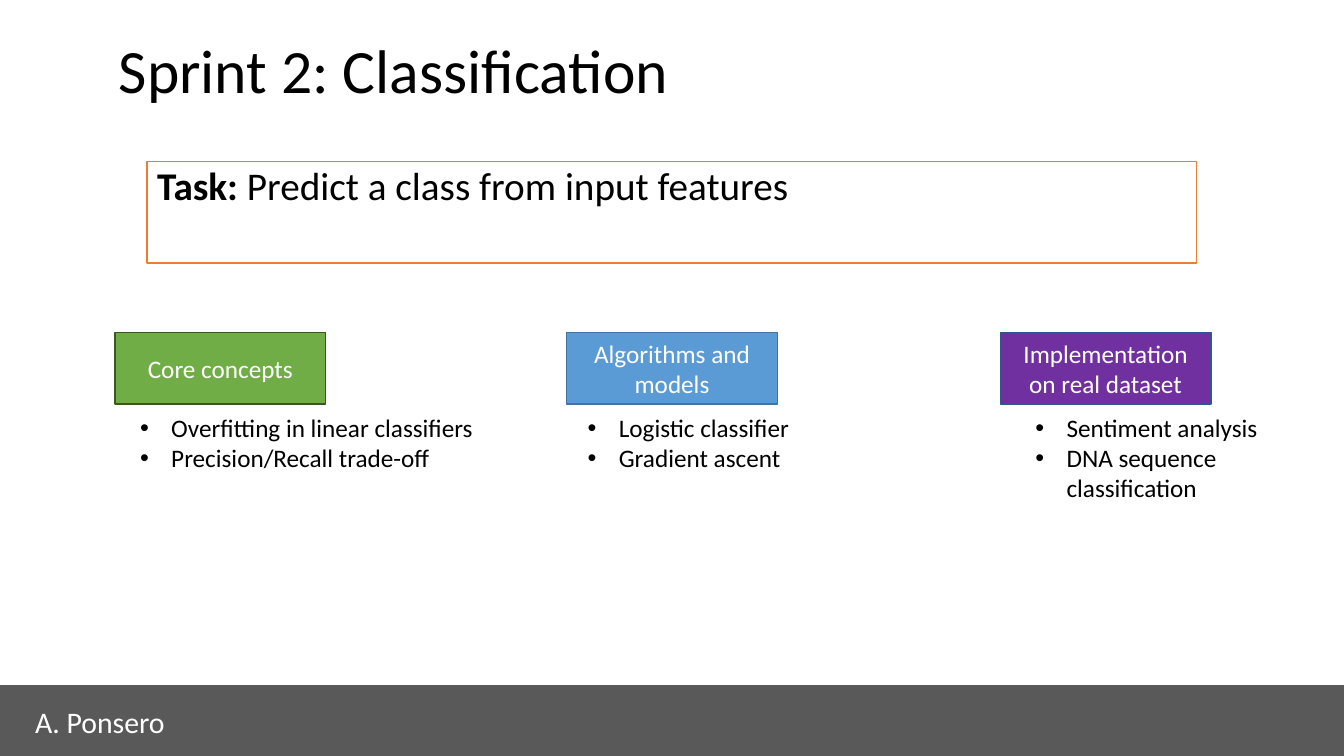
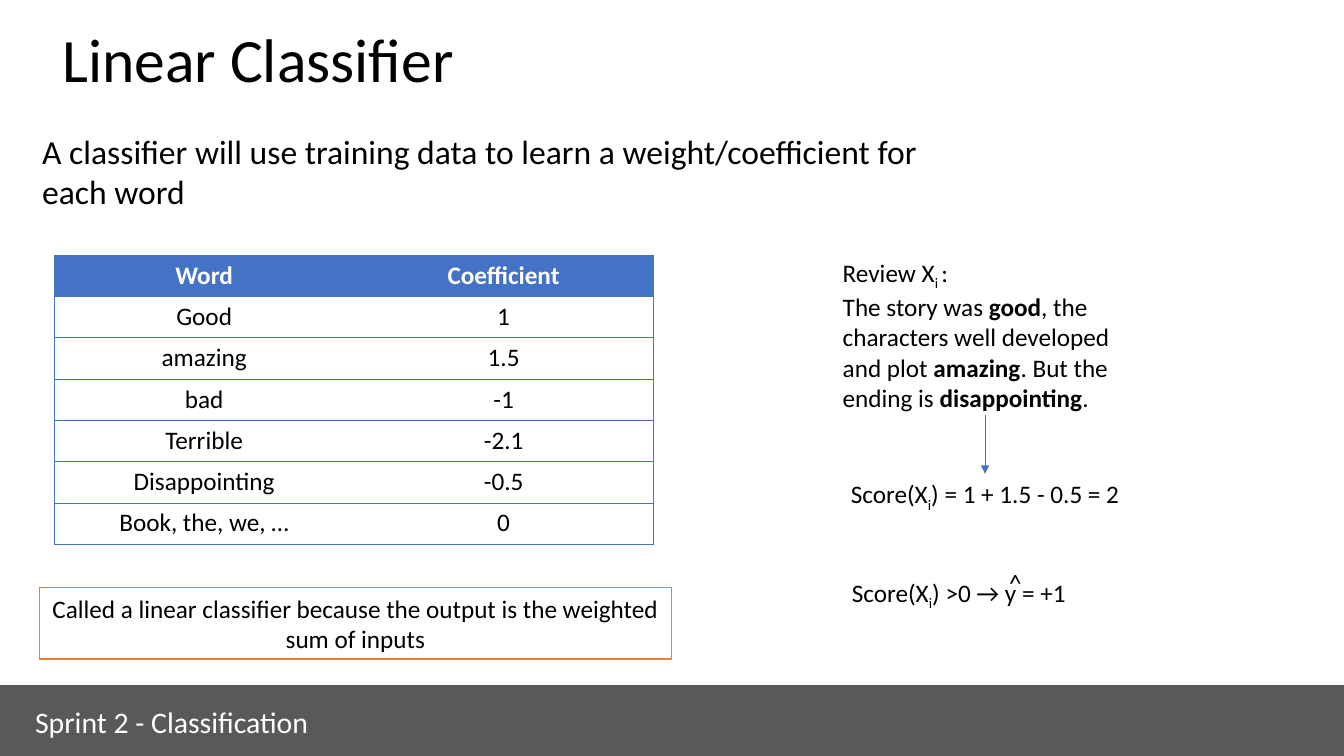
from lxml.etree import SubElement
from pptx import Presentation
from pptx.dml.color import RGBColor
from pptx.enum.shapes import MSO_CONNECTOR, MSO_SHAPE
from pptx.enum.text import MSO_ANCHOR, PP_ALIGN
from pptx.oxml.ns import qn
from pptx.util import Inches, Pt

FONT = "Calibri"
COLORS = {
    "text": "000000", "white": "FFFFFF", "band": "595959",
    "accent": "4472C4", "frame": "ED7D31",
    "green": "70AD47", "green_edge": "385723",
    "blue": "5B9BD5", "blue_edge": "43739E",
    "purple": "7030A0", "purple_edge": "325491",
}


def rgb(name):
    return RGBColor.from_string(COLORS[name])


# Text: a paragraph is a string or a list of (text, style) runs,
# where style is "", "bold" or "sub"
def fill_paragraph(paragraph, content, size=18, color="text", align=PP_ALIGN.LEFT,
                   spacing=None, bold=None, bullet=False):
    runs = [(content, "")] if isinstance(content, str) else content
    for text, style in runs:
        run = paragraph.add_run()
        run.text = text
        if style == "bold":
            run.font.bold = True
        elif style == "sub":
            run.font._element.set("baseline", "-25000")
    paragraph.alignment = align
    if spacing:
        paragraph.line_spacing = spacing
    if bullet:
        properties = paragraph._p.get_or_add_pPr()
        properties.set("marL", str(Inches(0.31)))
        properties.set("indent", str(-Inches(0.31)))
        SubElement(properties, qn("a:buFont"), typeface="Arial")
        SubElement(properties, qn("a:buChar"), char="•")
    paragraph.font.name = FONT
    paragraph.font.size = Pt(size)
    paragraph.font.color.rgb = rgb(color)
    paragraph.font.bold = bold


def write(shape, paragraphs, anchor=MSO_ANCHOR.TOP, **style):
    frame = shape.text_frame
    frame.word_wrap = True
    frame.vertical_anchor = anchor
    for index, content in enumerate(paragraphs):
        paragraph = frame.add_paragraph() if index else frame.paragraphs[0]
        fill_paragraph(paragraph, content, **style)


def add_text(slide, box, *paragraphs, **style):
    text_box = slide.shapes.add_textbox(*map(Inches, box))
    write(text_box, paragraphs, **style)
    return text_box


def add_box(slide, box, fill, edge, *paragraphs, **style):
    rectangle = slide.shapes.add_shape(MSO_SHAPE.RECTANGLE, *map(Inches, box))
    rectangle.shadow.inherit = False
    rectangle.fill.solid()
    rectangle.fill.fore_color.rgb = rgb(fill)
    rectangle.line.color.rgb = rgb(edge)
    rectangle.line.width = Pt(1)
    write(rectangle, paragraphs, **style)


# Shared slide frame: title and footer band
def add_slide(presentation, title, title_box, footer):
    slide = presentation.slides.add_slide(presentation.slide_layouts[6])
    add_text(slide, title_box, title, size=44, spacing=0.9, anchor=MSO_ANCHOR.MIDDLE)
    add_box(slide, (0, 6.8, 13.33, 0.7), "band", "band")
    add_text(slide, (0.25, 6.93, 3.36, 0.46), footer, size=21.3, color="white")
    return slide


# Table with an outer frame and horizontal rules
def set_borders(cell, sides):
    properties = cell._tc.get_or_add_tcPr()
    for side in "LRTB":
        border = SubElement(properties, qn(f"a:ln{side}"), w=str(Pt(0.5)))
        if side in sides:
            fill = SubElement(border, qn("a:solidFill"))
            SubElement(fill, qn("a:srgbClr"), val=COLORS["accent"])
        else:
            SubElement(border, qn("a:noFill"))


def add_ruled_table(slide, left, top, column_width, row_height, rows):
    columns = len(rows[0])
    table = slide.shapes.add_table(
        len(rows), columns, Inches(left), Inches(top),
        Inches(column_width * columns), Inches(row_height * len(rows))).table
    table.horz_banding = False
    for r, row in enumerate(rows):
        header = r == 0
        for c, text in enumerate(row):
            cell = table.cell(r, c)
            outer = ("L" if c == 0 else "") + ("R" if c == columns - 1 else "")
            set_borders(cell, "TB" + outer)
            if header:
                cell.fill.solid()
                cell.fill.fore_color.rgb = rgb("accent")
            else:
                cell.fill.background()
            fill_paragraph(cell.text_frame.paragraphs[0], text, bold=header,
                           color="white" if header else "text", align=PP_ALIGN.CENTER)


def add_arrow(slide, source, target):
    arrow = slide.shapes.add_connector(MSO_CONNECTOR.STRAIGHT, 0, 0, 0, 0)
    arrow.begin_connect(source, 2)
    arrow.end_connect(target, 0)
    arrow.line.color.rgb = rgb("accent")
    arrow.line.width = Pt(0.5)
    SubElement(arrow.line._get_or_add_ln(), qn("a:tailEnd"), type="triangle")
    SubElement(arrow._element.spPr, qn("a:effectLst"))


def build_overview(presentation):
    slide = add_slide(presentation, "Sprint 2: Classification",
                      (1.08, 0, 11.5, 1.45), "A. Ponsero")
    add_box(slide, (1.46, 1.6, 10.41, 1.01), "white", "frame",
            [("Task:", "bold"), (" Predict a class from input features", "")],
            size=28, spacing=0.9)

    # Topics: label left, colour, label, list width, list items
    topics = [
        (1.14, "green", "Core concepts", 3.62,
         ["Overfitting in linear classifiers", "Precision/Recall trade-off"]),
        (5.62, "blue", "Algorithms and models", 3.17,
         ["Logistic classifier", "Gradient ascent"]),
        (9.92, "purple", "Implementation on real dataset", 3.16,
         ["Sentiment analysis", "DNA sequence classification"]),
    ]
    for index, (left, color, label, width, items) in enumerate(topics):
        add_box(slide, (left, 3.3, 2.09, 0.71), color, color + "_edge", label,
                color="white", align=PP_ALIGN.CENTER, anchor=MSO_ANCHOR.MIDDLE)
        add_text(slide, (1.29 + 4.44 * index, 4.04, width, 1.01), *items, bullet=True)


def build_linear_classifier(presentation):
    slide = add_slide(presentation, "Linear Classifier",
                      (0.52, 0, 12, 1.25), "Sprint 2 - Classification")
    add_text(slide, (0.32, 1.25, 9.09, 0.91),
             "A classifier will use training data to learn a weight/coefficient "
             "for each word", size=24)

    # Word weights
    add_ruled_table(slide, 0.54, 2.53, 2.97, 0.41, [
        ("Word", "Coefficient"), ("Good", "1"), ("amazing", "1.5"), ("bad", "-1"),
        ("Terrible", "-2.1"), ("Disappointing", "-0.5"), ("Book, the, we, …", "0")])
    add_box(slide, (0.39, 5.83, 6.27, 0.71), "white", "frame",
            "Called a linear classifier because the output is the weighted sum of inputs",
            align=PP_ALIGN.CENTER, anchor=MSO_ANCHOR.MIDDLE)

    # Example review and its score
    review = add_text(
        slide, (8.26, 2.5, 3.02, 1.62),
        [("Review X", ""), ("i ", "sub"), (":", "")],
        [("The story was ", ""), ("good", "bold"),
         (", the characters well developed and plot ", ""), ("amazing", "bold"),
         (". But the ending is ", ""), ("disappointing", "bold"), (".", "")])
    score = add_text(
        slide, (7.62, 4.7, 4.3, 0.4),
        [("Score(X", ""), ("i", "sub"), (") = 1 + 1.5 - 0.5 = 2", "")],
        align=PP_ALIGN.CENTER)
    add_arrow(slide, review, score)

    # Prediction, with the hat above y
    add_text(slide, (8.35, 5.68, 3.36, 0.4),
             [("Score(X", ""), ("i", "sub"), (") >0 → y = +1", "")])
    add_text(slide, (9.91, 5.58, 0.33, 0.4), "^")


def main():
    presentation = Presentation()
    presentation.slide_width = Inches(13.33)
    presentation.slide_height = Inches(7.5)
    build_overview(presentation)
    build_linear_classifier(presentation)
    presentation.save("out.pptx")


if __name__ == "__main__":
    main()
